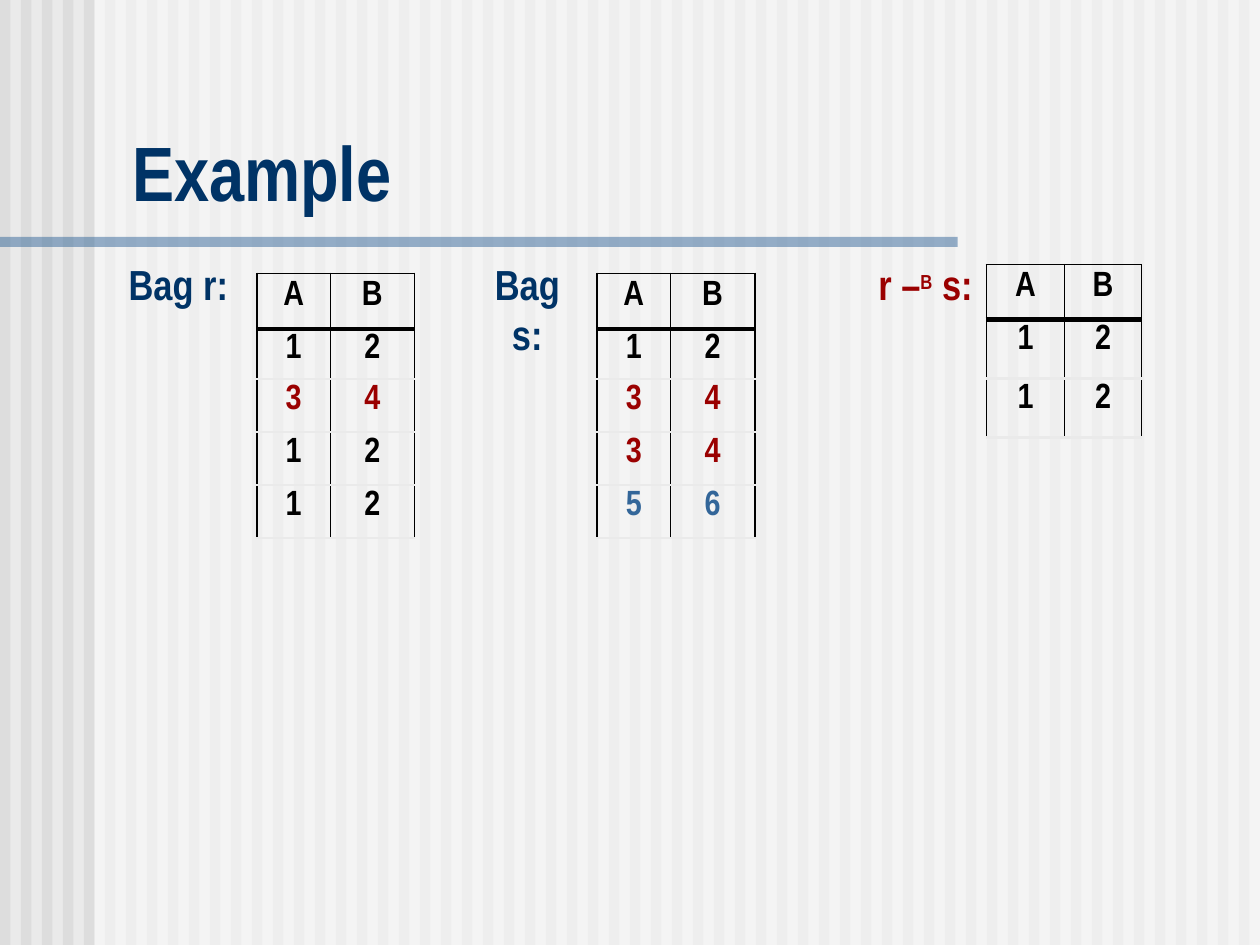
from lxml.etree import SubElement
from pptx import Presentation
from pptx.dml.color import RGBColor
from pptx.enum.shapes import MSO_SHAPE
from pptx.enum.text import MSO_ANCHOR, MSO_AUTO_SIZE, PP_ALIGN
from pptx.oxml.ns import qn
from pptx.util import Inches, Pt

COLORS = {
    "paper": "EAEAEA", "stripe": "DDDDDD", "veil": "FFFFFF", "blue": "336699",
    "navy": "003366", "red": "9A0000", "black": "000000",
}
FONT = "Arial Narrow"
HAIRLINE, OUTLINE, ROW_LINE, HEADER_LINE = 0.45, 1.08, 1.47, 3


def rgb(name):
    """Return the named palette colour."""
    return RGBColor.from_string(COLORS[name])


def add_span(para, text, size, color, raised=False):
    """Add one bold run to a paragraph."""
    span = para.add_run()
    span.text = text
    span.font.name = FONT
    span.font.size = Pt(size)
    span.font.bold = True
    span.font.color.rgb = rgb(color)
    if raised:
        span.font._element.set("baseline", "30000")


def add_bar(shapes, left, top, width, height, color, opacity=100):
    """Add a plain filled rectangle."""
    bar = shapes.add_shape(MSO_SHAPE.RECTANGLE, Inches(left), Inches(top),
                           Inches(width), Inches(height))
    bar.shadow.inherit = False
    bar.fill.solid()
    bar.fill.fore_color.rgb = rgb(color)
    bar.line.fill.background()
    if opacity < 100:
        tint = bar.fill._xPr.find(".//" + qn("a:srgbClr"))
        SubElement(tint, qn("a:alpha"), val=str(opacity * 1000))


def add_backdrop(page, width, height):
    """Draw the striped paper, its pale veil and the rule under the title."""
    page.background.fill.solid()
    page.background.fill.fore_color.rgb = rgb("paper")
    shapes = page.shapes.add_group_shape().shapes
    for index in range(width * 6):
        add_bar(shapes, index / 6, 0, 1 / 12, height, "stripe")
    add_bar(shapes, 0.75, 0, width - 0.75, height, "veil", 50)
    add_bar(shapes, 0, 1.88, 7.6, 0.08, "blue", 50)


def add_title(page, left, top, width, height, text):
    """Add the slide title, resting on the bottom of its box."""
    box = page.shapes.add_textbox(Inches(left), Inches(top), Inches(width), Inches(height))
    frame = box.text_frame
    frame.word_wrap = True
    frame.vertical_anchor = MSO_ANCHOR.BOTTOM
    add_span(frame.paragraphs[0], text, 44, "navy")


def add_label(page, left, top, width, height, spans):
    """Add a centred one-line label made of (text, size, colour, raised) spans."""
    box = page.shapes.add_textbox(Inches(left), Inches(top), Inches(width), Inches(height))
    frame = box.text_frame
    frame.word_wrap = False
    frame.auto_size = MSO_AUTO_SIZE.SHAPE_TO_FIT_TEXT
    para = frame.paragraphs[0]
    para.alignment = PP_ALIGN.CENTER
    for span in spans:
        add_span(para, *span)


def set_borders(cell, row, column):
    """Draw the four cell borders according to the cell's place in the bag."""
    row_line = ("paper", ROW_LINE)
    header_line = ("black", HEADER_LINE)
    borders = {
        "a:lnL": ("black", HAIRLINE if column else OUTLINE),
        "a:lnR": ("black", OUTLINE if column else HAIRLINE),
        "a:lnT": [("black", OUTLINE), header_line, row_line][min(row, 2)],
        "a:lnB": row_line if row else header_line,
    }
    properties = cell._tc.get_or_add_tcPr()
    for tag, (color, width) in borders.items():
        line = SubElement(properties, qn(tag), w=str(Pt(width)))
        fill = SubElement(line, qn("a:solidFill"))
        SubElement(fill, qn("a:srgbClr"), val=COLORS[color])


def add_bag(page, left, top, widths, heights, tuples):
    """Add a bag as a table with header A, B and (a, b, colour) tuples."""
    rows = [("A", "B", "black")] + tuples
    frame = page.shapes.add_table(len(rows), 2, Inches(left), Inches(top),
                                  Inches(sum(widths)), Inches(sum(heights)))
    table = frame.table
    table.first_row = table.horz_banding = False
    for column, width in zip(table.columns, widths):
        column.width = Inches(width)
    for row, height in zip(table.rows, heights):
        row.height = Inches(height)
    for row, (*values, color) in enumerate(rows):
        for column, value in enumerate(values):
            cell = table.cell(row, column)
            set_borders(cell, row, column)
            cell.fill.background()
            para = cell.text_frame.paragraphs[0]
            para.alignment = PP_ALIGN.CENTER
            if row:
                para.line_spacing = 0.9
            add_span(para, value, 20, color)


def build_example(page):
    """Lay out the bag difference example."""
    one_two = ("1", "2", "black")
    three_four = ("3", "4", "red")
    bag_widths, bag_heights = [0.58, 0.67], [0.44, 0.4, 0.42, 0.42, 0.42]
    add_backdrop(page, 10, 7.5)
    add_title(page, 0.95, 0.94, 8.93, 0.83, "Example")
    add_label(page, 3.67, 2, 1.03, 0.5, [("Bag s:", 24, "navy")])
    add_label(page, 0.92, 2, 0.99, 0.5, [("Bag r:", 24, "navy")])
    add_label(page, 6.87, 2, 0.95, 0.5,
              [("r –", 24, "red"), ("B", 20, "red", True), (" s:", 24, "red")])
    add_bag(page, 7.83, 2.1, [0.62, 0.61], [0.43, 0.47, 0.47], [one_two] * 2)
    add_bag(page, 2.04, 2.17, bag_widths, bag_heights,
            [one_two, three_four, one_two, one_two])
    add_bag(page, 4.74, 2.17, bag_widths, bag_heights,
            [one_two, three_four, three_four, ("5", "6", "blue")])


def main():
    """Build and save the deck."""
    deck = Presentation()
    deck.slide_width, deck.slide_height = Inches(10), Inches(7.5)
    build_example(deck.slides.add_slide(deck.slide_layouts[6]))
    deck.save("out.pptx")


if __name__ == "__main__":
    main()
